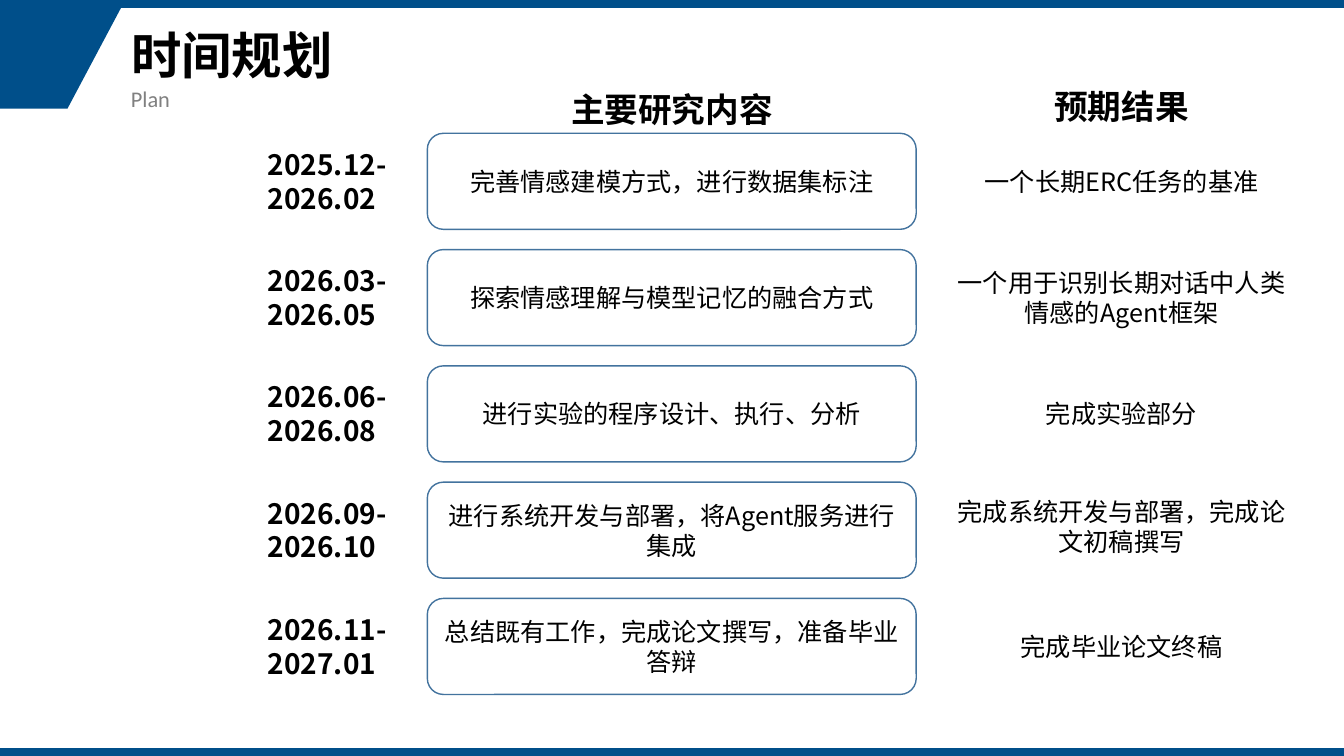
from lxml.etree import SubElement
from pptx import Presentation
from pptx.dml.color import RGBColor
from pptx.enum.shapes import MSO_SHAPE
from pptx.enum.text import MSO_ANCHOR, PP_ALIGN
from pptx.oxml.ns import qn
from pptx.util import Cm, Pt

BLUE = "004F8A"
SANS = "Noto Sans CJK SC"
LATIN = "Calibri"


def paint(fill, tone):
    fill.solid()
    fill.fore_color.rgb = RGBColor.from_string(tone)


def write(shape, text, size, face=SANS, bold=False, tone="000000",
          align=PP_ALIGN.CENTER, anchor=MSO_ANCHOR.MIDDLE):
    frame = shape.text_frame
    frame.text = text
    frame.word_wrap = True
    frame.vertical_anchor = anchor
    style = {"size": Pt(size), "name": face, "bold": bold}
    for para in frame.paragraphs:
        para.alignment = align
        for run in para.runs:
            for key, value in style.items():
                setattr(run.font, key, value)
            paint(run.font.fill, tone)
    for props in shape.element.iter(qn("a:rPr")):
        SubElement(props, qn("a:ea")).set("typeface", SANS)


deck = Presentation()
deck.slide_width = Cm(33.87)
deck.slide_height = Cm(19.05)
slide = deck.slides.add_slide(deck.slide_layouts[5])
shapes = slide.shapes

maker = shapes.build_freeform(0, Cm(0.2))
maker.add_line_segments([(Cm(3.05), Cm(0.2)), (Cm(1.7), Cm(2.74)), (0, Cm(2.74))])
trim = [maker.convert_to_shape()]
for top in (0, 18.85):
    trim.append(shapes.add_shape(
        MSO_SHAPE.RECTANGLE, 0, Cm(top), deck.slide_width, Cm(0.2)))
for part in trim:
    part.shadow.inherit = False
    part.line.fill.background()
    paint(part.fill, BLUE)

title = shapes.title
place = {"left": 3.05, "top": 0.2, "width": 28.5, "height": 2.54}
for key, value in place.items():
    setattr(title, key, Cm(value))
write(title, "时间规划", 36, bold=True, align=PP_ALIGN.LEFT)
title.text_frame.paragraphs[0].line_spacing = 0.9

label = shapes.add_textbox(Cm(3.05), Cm(2.03), Cm(19.8), Cm(0.94))
write(label, "Plan", 16, LATIN, tone="808080",
      align=PP_ALIGN.LEFT, anchor=MSO_ANCHOR.TOP)

for text, left, top in (("主要研究内容", 12.31, 2.12), ("预期结果", 23.64, 2.04)):
    head = shapes.add_textbox(Cm(left), Cm(top), Cm(9.25), Cm(1.28))
    write(head, text, 24, LATIN, bold=True)

rows = [
    ("2025.12-\n2026.02", "完善情感建模方式，进行数据集标注", "一个长期ERC任务的基准", 0),
    ("2026.03-2026.05", "探索情感理解与模型记忆的融合方式",
     "一个用于识别长期对话中人类情感的Agent框架", 0),
    ("2026.06-2026.08", "进行实验的程序设计、执行、分析", "完成实验部分", 0),
    ("2026.09-2026.10", "进行系统开发与部署，将Agent服务进行集成",
     "完成系统开发与部署，完成论文初稿撰写", 0.1),
    ("2026.11-2027.01", "总结既有工作，完成论文撰写，准备毕业答辩", "完成毕业论文终稿", 0),
]
for i, (dates, task, result, lift) in enumerate(rows):
    mid = 4.57 + 2.93 * i
    span = shapes.add_textbox(Cm(6.5), Cm(mid - 0.98), Cm(3.7), Cm(1.96))
    write(span, dates, 20, bold=True, align=PP_ALIGN.JUSTIFY, anchor=MSO_ANCHOR.TOP)

    card = shapes.add_shape(MSO_SHAPE.ROUNDED_RECTANGLE,
                            Cm(10.77), Cm(mid - 1.21), Cm(12.32), Cm(2.42))
    card.shadow.inherit = False
    card.fill.background()
    paint(card.line.fill, "43739E")
    card.line.width = Pt(1)
    write(card, task, 18)

    goal = shapes.add_textbox(Cm(23.64), Cm(mid - 0.9 - lift), Cm(9.25), Cm(1.8))
    write(goal, result, 18)

deck.save("out.pptx")
